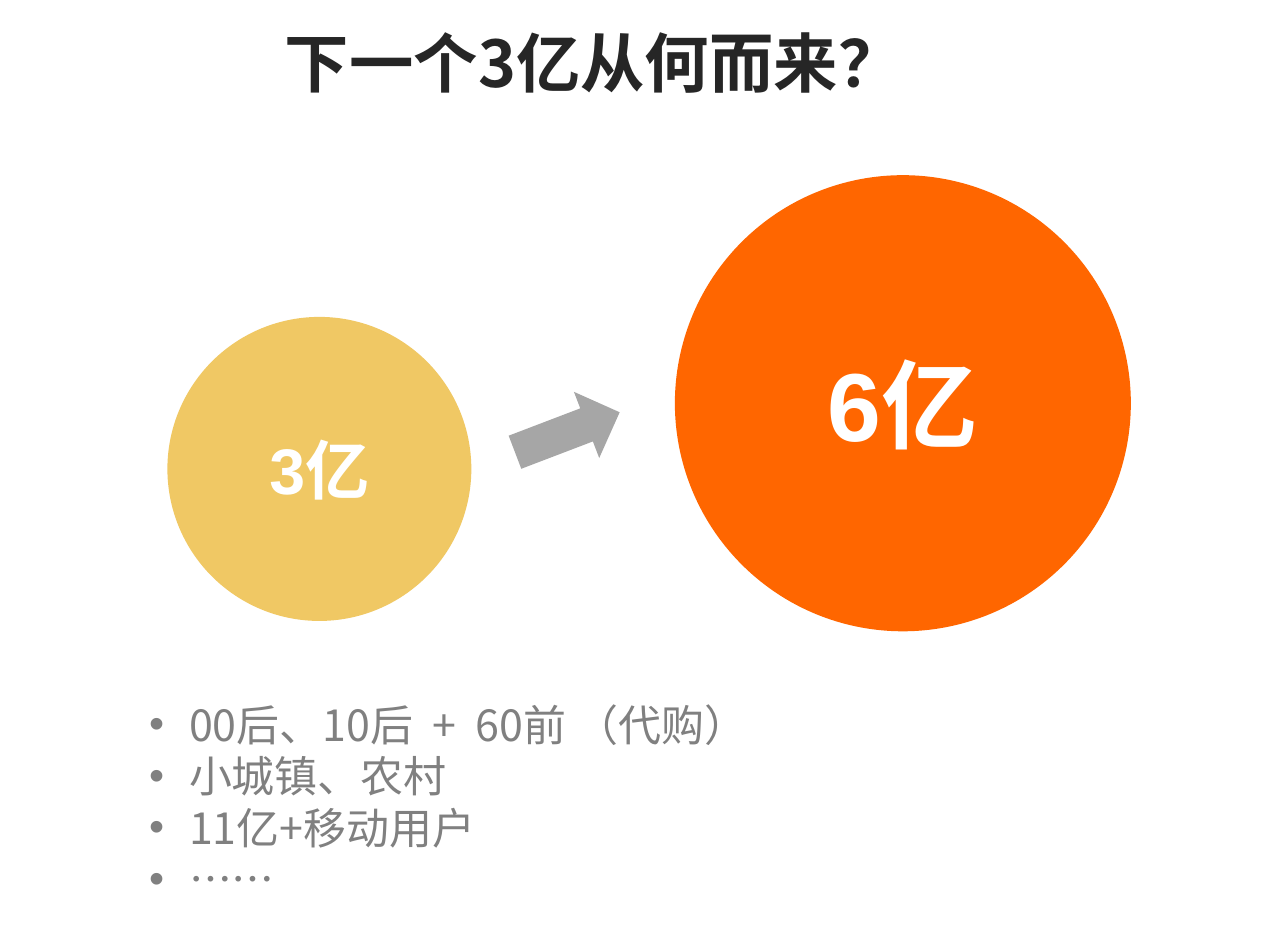
import pptx
import pptx.dml.color
import pptx.enum.shapes
import pptx.enum.text
import pptx.oxml
import pptx.oxml.ns
import pptx.util
from pptx.util import Inches

RGBColor = pptx.dml.color.RGBColor
Shape = pptx.enum.shapes.MSO_SHAPE
Align = pptx.enum.text.PP_ALIGN
Anchor = pptx.enum.text.MSO_ANCHOR

YELLOW = RGBColor(0xF0, 0xC8, 0x64)
ORANGE = RGBColor(0xFF, 0x66, 0x00)
ARROW_GRAY = RGBColor(0xA6, 0xA6, 0xA6)
TEXT_GRAY = RGBColor(0x80, 0x80, 0x80)
DARK = RGBColor(0x26, 0x26, 0x26)
WHITE = RGBColor(0xFF, 0xFF, 0xFF)
CJK_FONT = "Noto Sans CJK SC"


def write(paragraph, text, *, size, color, font=CJK_FONT, bold=False, align=Align.LEFT):
    paragraph.alignment = align
    run = paragraph.add_run()
    run.text = text
    run.font.size = pptx.util.Pt(size)
    run.font.bold = bold
    run.font.name = font
    run.font.color.rgb = color
    east_asian = pptx.oxml.parse_xml(
        f'<a:ea {pptx.oxml.ns.nsdecls("a")} typeface="{CJK_FONT}"/>'
    )
    run.font._element.find(pptx.oxml.ns.qn("a:latin")).addnext(east_asian)


class SlideBuilder:
    def __init__(self, slide):
        self.slide = slide

    def title(self, text, left, top, width, height):
        heading = self.slide.shapes.title
        heading.left, heading.top = Inches(left), Inches(top)
        heading.width, heading.height = Inches(width), Inches(height)
        frame = heading.text_frame
        frame.auto_size = pptx.enum.text.MSO_AUTO_SIZE.NONE
        frame.vertical_anchor = Anchor.TOP
        write(frame.paragraphs[0], text, size=36, color=DARK, bold=True, align=Align.CENTER)

    def solid(self, kind, left, top, width, height, color):
        figure = self.slide.shapes.add_shape(
            kind, Inches(left), Inches(top), Inches(width), Inches(height)
        )
        figure.shadow.inherit = False
        figure.fill.solid()
        figure.fill.fore_color.rgb = color
        figure.line.fill.background()
        return figure

    def circle(self, text, left, top, diameter, color, size):
        frame = self.solid(Shape.OVAL, left, top, diameter, diameter, color).text_frame
        frame.vertical_anchor = Anchor.MIDDLE
        write(frame.paragraphs[0], text, size=size, color=WHITE, font="Arial",
              bold=True, align=Align.CENTER)

    def arrow(self, left, top, width, height, rotation):
        self.solid(Shape.RIGHT_ARROW, left, top, width, height, ARROW_GRAY).rotation = rotation

    def bullets(self, items, left, top, width, height):
        frame = self.slide.shapes.add_textbox(
            Inches(left), Inches(top), Inches(width), Inches(height)
        ).text_frame
        frame.word_wrap = True
        for index, item in enumerate(items):
            paragraph = frame.add_paragraph() if index else frame.paragraphs[0]
            write(paragraph, item, size=24, color=TEXT_GRAY)
            properties = paragraph._p.get_or_add_pPr()
            properties.set("marL", str(Inches(0.31)))
            properties.set("indent", str(Inches(-0.31)))
            for tag in ('buFont typeface="Arial"', 'buChar char="•"'):
                properties.append(
                    pptx.oxml.parse_xml(f'<a:{tag} {pptx.oxml.ns.nsdecls("a")}/>')
                )


def main():
    deck = pptx.Presentation()
    deck.slide_width, deck.slide_height = Inches(10), Inches(7.28)
    builder = SlideBuilder(deck.slides.add_slide(deck.slide_layouts[5]))
    builder.circle("3亿", 1.3, 2.46, 2.36, YELLOW, 36)
    builder.circle("6亿", 5.24, 1.36, 3.54, ORANGE, 54)
    builder.arrow(3.97, 3.08, 0.87, 0.55, 339.1)
    builder.title("下一个3亿从何而来？", 0.36, 0.13, 8.5, 0.76)
    audiences = ["00后、10后  +  60前 （代购）", "小城镇、农村", "11亿+移动用户", "……"]
    builder.bullets(audiences, 1.06, 5.37, 8.27, 1.72)
    deck.save("out.pptx")


if __name__ == "__main__":
    main()
